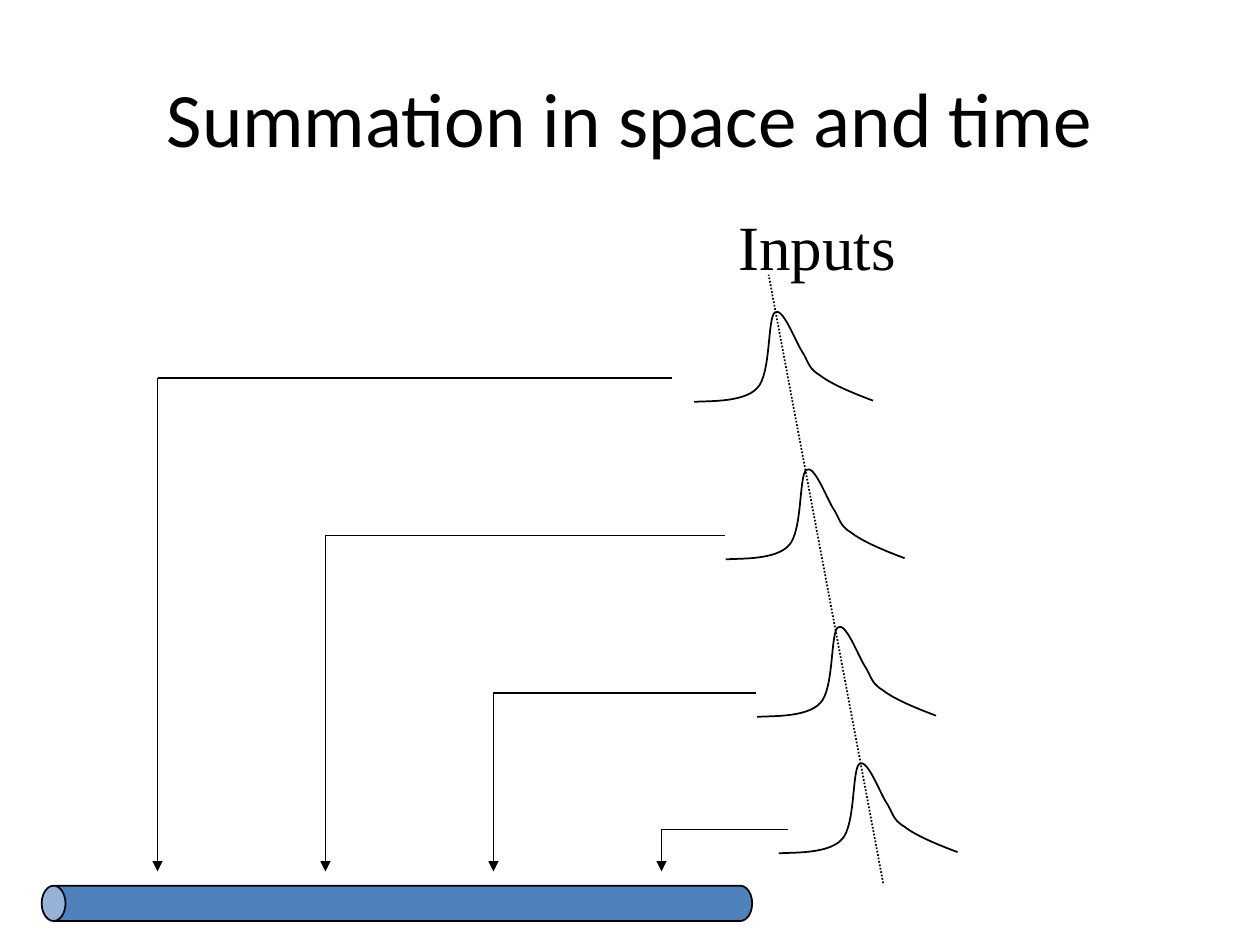
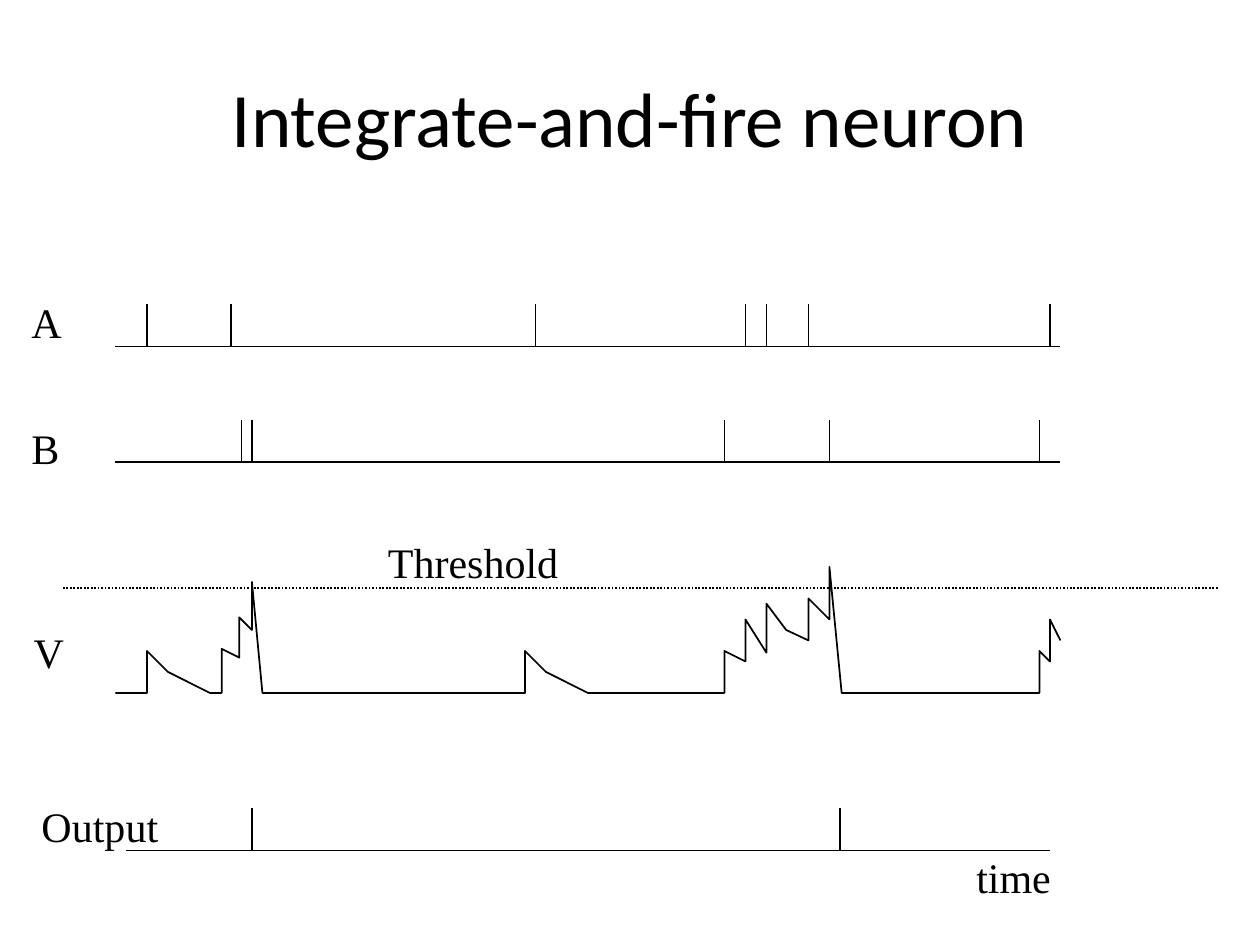
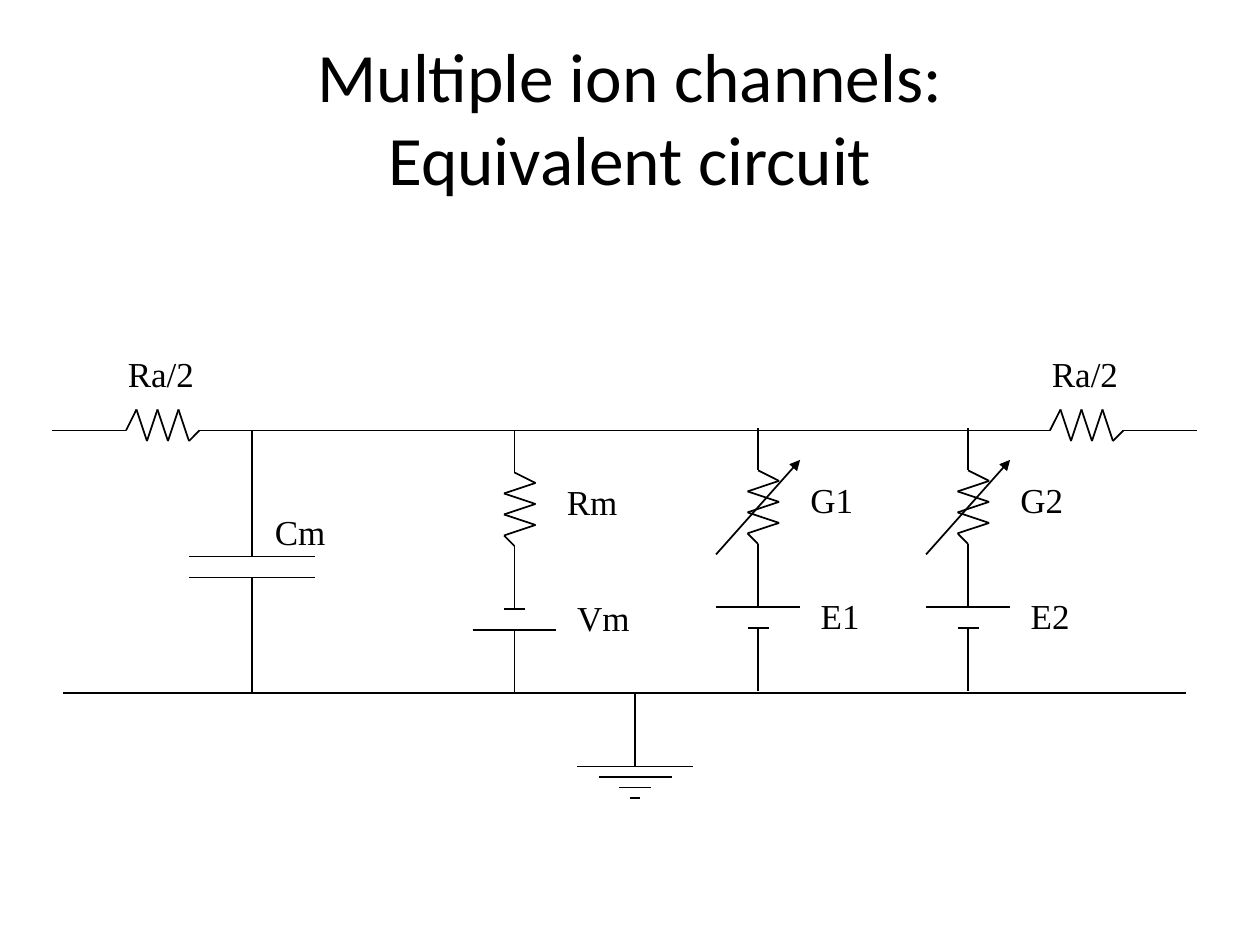
from itertools import pairwise

from lxml.etree import SubElement
from pptx import Presentation
from pptx.dml.color import RGBColor
from pptx.enum.dml import MSO_LINE
from pptx.enum.shapes import MSO_CONNECTOR, MSO_SHAPE
from pptx.enum.text import MSO_ANCHOR, MSO_AUTO_SIZE, PP_ALIGN
from pptx.oxml.ns import qn
from pptx.util import Pt

BLACK = RGBColor(0x00, 0x00, 0x00)
BLUE = RGBColor(0x4F, 0x81, 0xBD)
HEAD_FONT = "Calibri"
BODY_FONT = "Times New Roman"

# Summation: height of each input, end of its wire, left edge of its pulse
INPUTS = [(216, 384, 396.7), (306, 414, 414.7), (396, 432, 432.7), (474, 450, 445)]
DROP_LEFT, DROP_STEP, DROP_END = 90, 96, 498
PULSE_RISE = 41
# Bezier points: the start, then three for each curve
PULSE = [
    (0, 54.7),
    (6.5, 54), (28, 55.4), (36, 46.8),
    (43.9, 38.9), (41.8, 7.2), (46, 3.6),
    (50.4, 0), (57.6, 19.4), (61.2, 25.2),
    (65.5, 31.7), (64.8, 35.3), (72, 39.6),
    (78.5, 44.6), (90.7, 49.7), (102.2, 54),
]

# Integrate-and-fire: left, right and height of each base line, and its spikes
TRAINS = [
    (66, 606, 198, [84, 132, 306, 426, 438, 462, 600]),
    (66, 606, 264, [138, 144, 414, 474, 594]),
    (72, 600, 486, [144, 480]),
]
SPIKE = 24
VOLTAGE = [
    (66, 396), (84, 396), (84, 372), (96, 384), (120, 396), (126.7, 396),
    (126.7, 370.8), (136.8, 375.8), (136.8, 352.8), (144, 360), (144, 332.6),
    (150, 396), (300, 396), (300, 372), (312, 384), (336, 396), (414, 396),
    (414, 372), (426, 378), (426, 354), (438, 373), (438, 345), (449.3, 360),
    (462, 366), (462, 342), (474, 354), (474, 324), (481, 396), (594, 396),
    (594, 372), (600, 378), (600, 354), (606, 366),
]
TRACE_LABELS = [
    ("Threshold", 214.6, 303.1, 113),
    ("A", 10.8, 165.6, 32.4),
    ("B", 10.8, 237.6, 31),
    ("V", 12.2, 354.2, 32.4),
    ("Output", 16.6, 453.6, 82),
    ("time", 550.8, 483.1, 57.6),
]

# Circuit
RAIL, BASE = 246, 396
AXIAL = [72, 600]
ZIGZAG = [0, -12, 6, -12, 6, -12, 6, 0]
ZIG_STEP = 6
CIRCUIT_LABELS = [
    ("Ra/2", 66, 198, 52.6),
    ("Ra/2", 594, 198, 52.6),
    ("Cm", 150, 288, 43.2),
]
# Centre, top, half widths of the battery plates, variable?, labels with widths
BRANCHES = [
    (294, RAIL, (6, 24), False, [("Rm", 43.2), ("Vm", 44.6)]),
    (433.2, RAIL - 1.2, (24, 6), True, [("G1", 38.9), ("E1", 36.7)]),
    (553.2, RAIL - 1.2, (24, 6), True, [("G2", 38.9), ("E2", 36.7)]),
]
LABEL_SHIFTS = [(22.8, 25.3), (28.7, 91.2)]
CAP_X, CAP_HALF = 144, 36
GROUND_X, GROUND_Y, GROUND_HALVES = 363, 438, [33, 21, 9, 3]


def add_slide(prs, title, size=44):
    slide = prs.slides.add_slide(prs.slide_layouts[5])
    head = slide.shapes.title
    head.left, head.top, head.width, head.height = Pt(36), Pt(21.6), Pt(648), Pt(90)
    frame = head.text_frame
    frame.auto_size = MSO_AUTO_SIZE.NONE
    frame.vertical_anchor = MSO_ANCHOR.MIDDLE
    frame.text = title
    for para in frame.paragraphs:
        para.alignment = PP_ALIGN.CENTER
        style(para.font, HEAD_FONT, size)
    return slide


def style(font, name, size):
    font.name, font.size, font.color.rgb = name, Pt(size), BLACK


def label(slide, text, left, top, width, size):
    box = slide.shapes.add_textbox(Pt(left), Pt(top), Pt(width), Pt(1.2 * size + 7))
    frame = box.text_frame
    frame.word_wrap = False
    frame.auto_size = MSO_AUTO_SIZE.SHAPE_TO_FIT_TEXT
    frame.text = text
    style(frame.paragraphs[0].font, BODY_FONT, size)


def ink(shape):
    shape.line.color.rgb = BLACK
    shape.line.width = Pt(1)


def wire(slide, *points, dotted=False, arrow=False):
    """Join the points in turn with straight lines."""
    for start, end in pairwise(points):
        line = slide.shapes.add_connector(
            MSO_CONNECTOR.STRAIGHT, *(Pt(n) for n in (*start, *end)))
        ink(line)
        if dotted:
            line.line.dash_style = MSO_LINE.ROUND_DOT
        props = line.element.spPr
        if arrow:
            SubElement(props.find(qn("a:ln")), qn("a:tailEnd"), type="triangle")
        SubElement(props, qn("a:effectLst"))


def bar(slide, x, y, half):
    wire(slide, (x - half, y), (x + half, y))


def outline(slide, points):
    first, *rest = [(Pt(x), Pt(y)) for x, y in points]
    pen = slide.shapes.build_freeform(*first)
    pen.add_line_segments(rest, close=False)
    shape = pen.convert_to_shape()
    shape.shadow.inherit = False
    shape.fill.background()
    ink(shape)
    return shape


def pulse(slide, left, top):
    """Draw the outline through the Bezier points, then bend it into curves."""
    shape = outline(slide, [(left + x, top + y) for x, y in PULSE])
    steps = list(shape.element.iter(qn("a:lnTo")))
    trace = steps[0].getparent()
    for i in range(0, len(steps), 3):
        curve = SubElement(trace, qn("a:cubicBezTo"))
        for step in steps[i:i + 3]:
            curve.append(step[0])
            trace.remove(step)


def add_summation(prs):
    slide = add_slide(prs, "Summation in space and time")
    label(slide, "Inputs", 414.7, 115.2, 104.4, 36)
    wire(slide, (504.7, 504.7), (439.2, 157), dotted=True)
    can = slide.shapes.add_shape(MSO_SHAPE.CAN, Pt(216.7), Pt(313.2), Pt(20.2), Pt(406))
    can.rotation = 270
    can.adjustments[0] = 0.675
    can.shadow.inherit = False
    can.fill.solid()
    can.fill.fore_color.rgb = BLUE
    ink(can)
    for i, (y, end, left) in enumerate(INPUTS):
        x = DROP_LEFT + i * DROP_STEP
        pulse(slide, left, y - PULSE_RISE)
        wire(slide, (end, y), (x, y))
        wire(slide, (x, y), (x, DROP_END), arrow=True)


def add_neuron(prs):
    slide = add_slide(prs, "Integrate-and-fire neuron")
    for left, right, y, spikes in TRAINS:
        wire(slide, (left, y), (right, y))
        for x in spikes:
            wire(slide, (x, y - SPIKE), (x, y))
    outline(slide, VOLTAGE)
    wire(slide, (36, 336), (696, 336), dotted=True)
    for item in TRACE_LABELS:
        label(slide, *item, 24)


def add_branch(slide, x, top, plates, varies, labels):
    coil = [(x - d, top + 24 + i * ZIG_STEP) for i, d in enumerate(ZIGZAG)]
    wire(slide, (x, top), *coil, (x, top + 102))
    for y, half in zip((top + 102, top + 114), plates):
        bar(slide, x, y, half)
    wire(slide, (x, top + 114), (x, top + 150))
    if varies:
        wire(slide, (x - 24, top + 72), (x + 24, top + 18), arrow=True)
    for (text, width), (dx, dy) in zip(labels, LABEL_SHIFTS):
        label(slide, text, x + dx, top + dy, width, 20)


def add_circuit(prs):
    slide = add_slide(prs, "Multiple ion channels:\vEquivalent circuit", 39.6)
    coils = [(x + i * ZIG_STEP, RAIL + d) for x in AXIAL for i, d in enumerate(ZIGZAG)]
    wire(slide, (30, RAIL), *coils, (684, RAIL))
    wire(slide, (36, BASE), (678, BASE))
    for rail, plate in ((RAIL, 318), (BASE, 330)):
        wire(slide, (CAP_X, rail), (CAP_X, plate))
        bar(slide, CAP_X, plate, CAP_HALF)
    for branch in BRANCHES:
        add_branch(slide, *branch)
    wire(slide, (GROUND_X, BASE), (GROUND_X, GROUND_Y))
    for i, half in enumerate(GROUND_HALVES):
        bar(slide, GROUND_X, GROUND_Y + 6 * i, half)
    for item in CIRCUIT_LABELS:
        label(slide, *item, 20)


def main():
    prs = Presentation()
    prs.slide_width, prs.slide_height = Pt(720), Pt(540)
    add_summation(prs)
    add_neuron(prs)
    add_circuit(prs)
    prs.save("out.pptx")


if __name__ == "__main__":
    main()
